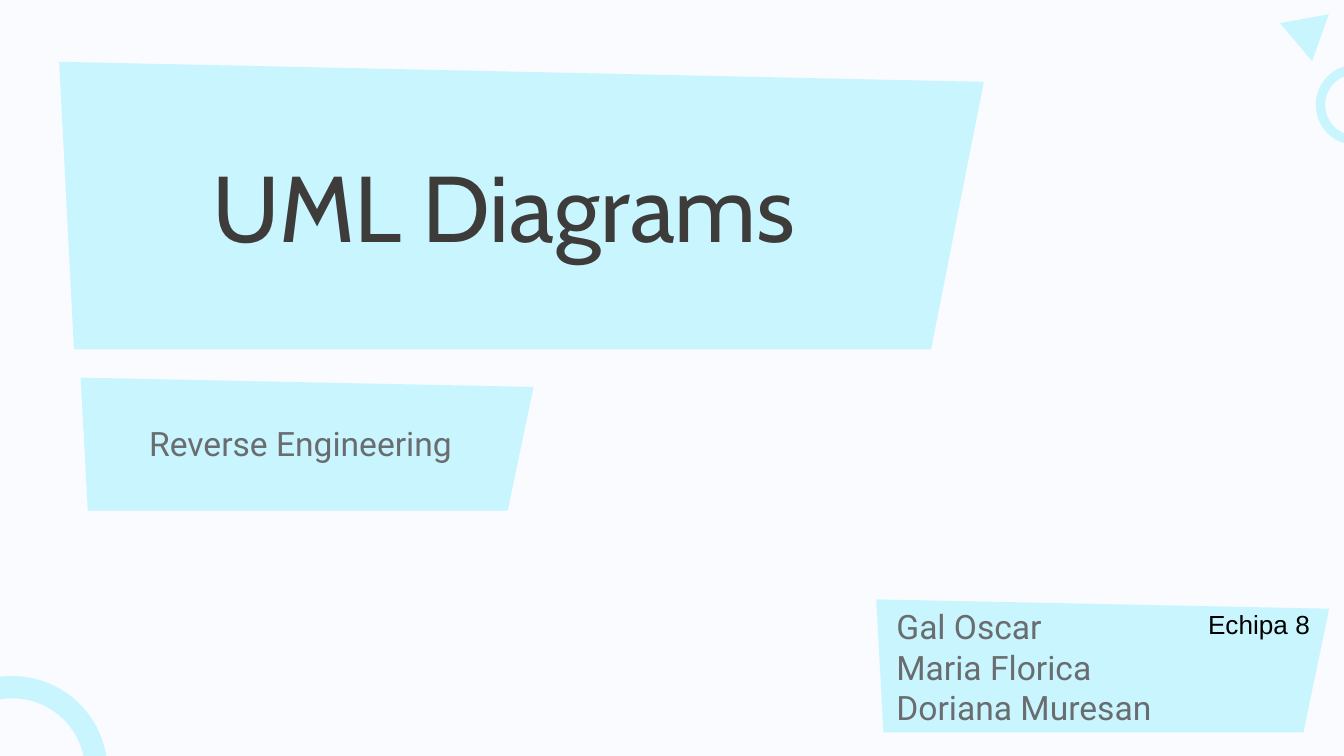
from dataclasses import dataclass

from pptx import Presentation
from pptx.dml.color import RGBColor
from pptx.enum import shapes, text
from pptx.util import Inches, Pt


@dataclass(frozen=True)
class Theme:
    background: RGBColor = RGBColor.from_string("F9FBFF")
    accent: RGBColor = RGBColor.from_string("C9F5FF")
    heading: RGBColor = RGBColor.from_string("3D3C3B")
    body: RGBColor = RGBColor.from_string("6A6D70")
    label: RGBColor = RGBColor.from_string("000000")
    heading_font: str = "Cabin"
    body_font: str = "Roboto"
    label_font: str = "Arial"
    heading_size: int = 50
    body_size: int = 18
    label_size: int = 14


THEME = Theme()
PANEL_CORNERS = [(0, 0), (0.016, 1), (0.943, 1), (1, 0.07)]
RING_ADJUSTMENTS = [108, 2.639, 0.117]


def paint(shape):
    shape.shadow.inherit = False
    shape.fill.solid()
    shape.fill.fore_color.rgb = THEME.accent
    shape.line.fill.background()


def add_ornament(slide, preset, box, rotation, adjustments=()):
    ornament = slide.shapes.add_shape(preset, *map(Inches, box))
    ornament.rotation = rotation
    for index, value in enumerate(adjustments):
        ornament.adjustments[index] = value
    paint(ornament)


def add_panel(slide, left, top, width, height):
    corners = [(Inches(left + x * width), Inches(top + y * height))
               for x, y in PANEL_CORNERS]
    builder = slide.shapes.build_freeform(*corners[0], scale=1.0)
    builder.add_line_segments(corners[1:], close=True)
    paint(builder.convert_to_shape())


def write(frame, lines, font, size, color):
    frame.text = "\n".join(lines)
    for paragraph in frame.paragraphs:
        paragraph.alignment = text.PP_ALIGN.LEFT
        paragraph.font.name = font
        paragraph.font.size = Pt(size)
        paragraph.font.color.rgb = color


def set_margins(frame):
    frame.word_wrap = True
    frame.auto_size = text.MSO_AUTO_SIZE.NONE
    frame.vertical_anchor = text.MSO_ANCHOR.MIDDLE
    frame.margin_left = frame.margin_right = 0
    frame.margin_top = frame.margin_bottom = Inches(0.1)


def add_body(slide, lines, left, top, width, height):
    body = slide.shapes.add_textbox(*map(Inches, (left, top, width, height)))
    set_margins(body.text_frame)
    write(body.text_frame, lines, THEME.body_font, THEME.body_size, THEME.body)
    return body.text_frame


def add_ornaments(slide):
    ring, triangle = shapes.MSO_SHAPE.BLOCK_ARC, shapes.MSO_SHAPE.ISOSCELES_TRIANGLE
    add_ornament(slide, ring, (-0.62, 5.03, 1.42, 1.42), 45, RING_ADJUSTMENTS)
    add_ornament(slide, ring, (9.79, 0.48, 0.6, 0.6), 270, RING_ADJUSTMENTS)
    add_ornament(slide, triangle, (9.58, 0.05, 0.37, 0.32), 49.8)


def add_title(slide, heading, left, top, width, height):
    add_panel(slide, left, top, width, height)
    title = slide.shapes.title
    title.left, title.top = Inches(left + 1.14), Inches(top + 0.27)
    title.width, title.height = Inches(4.6), Inches(1.59)
    set_margins(title.text_frame)
    write(title.text_frame, [heading], THEME.heading_font,
          THEME.heading_size, THEME.heading)
    title.element.getparent().append(title.element)


def add_subtitle(slide, subtitle, left, top, width, height):
    add_panel(slide, left, top, width, height)
    add_body(slide, [subtitle], left + 0.51, top + 0.13, 2.34, 0.72)


def add_team(slide, members, team, left, top, width, height):
    add_panel(slide, left, top, width, height)
    names = add_body(slide, members, left, top + 0.14, 2.34, 0.72)
    for paragraph in names.paragraphs:
        properties = paragraph._p.get_or_add_pPr()
        properties.set("marL", str(Inches(0.5)))
        properties.set("indent", str(Inches(-0.35)))
    label = slide.shapes.add_textbox(
        Inches(left + 2.37), Inches(top + 0.02), Inches(0.96), Inches(0.57))
    label.text_frame.word_wrap = False
    label.text_frame.auto_size = text.MSO_AUTO_SIZE.SHAPE_TO_FIT_TEXT
    write(label.text_frame, [team], THEME.label_font, THEME.label_size, THEME.label)


def main():
    deck = Presentation()
    deck.slide_width = Inches(10)
    deck.slide_height = deck.slide_width * 9 // 16
    slide = deck.slides.add_slide(deck.slide_layouts.get_by_name("Title Only"))
    slide.background.fill.solid()
    slide.background.fill.fore_color.rgb = THEME.background

    add_ornaments(slide)
    add_subtitle(slide, "Reverse Engineering", 0.6, 2.81, 3.37, 0.99)
    add_title(slide, "UML Diagrams", 0.44, 0.46, 6.88, 2.14)
    add_team(slide, ["Gal Oscar", "Maria Florica", "Doriana Muresan"], "Echipa 8",
             6.52, 4.46, 3.37, 0.99)
    deck.save("out.pptx")


if __name__ == "__main__":
    main()
